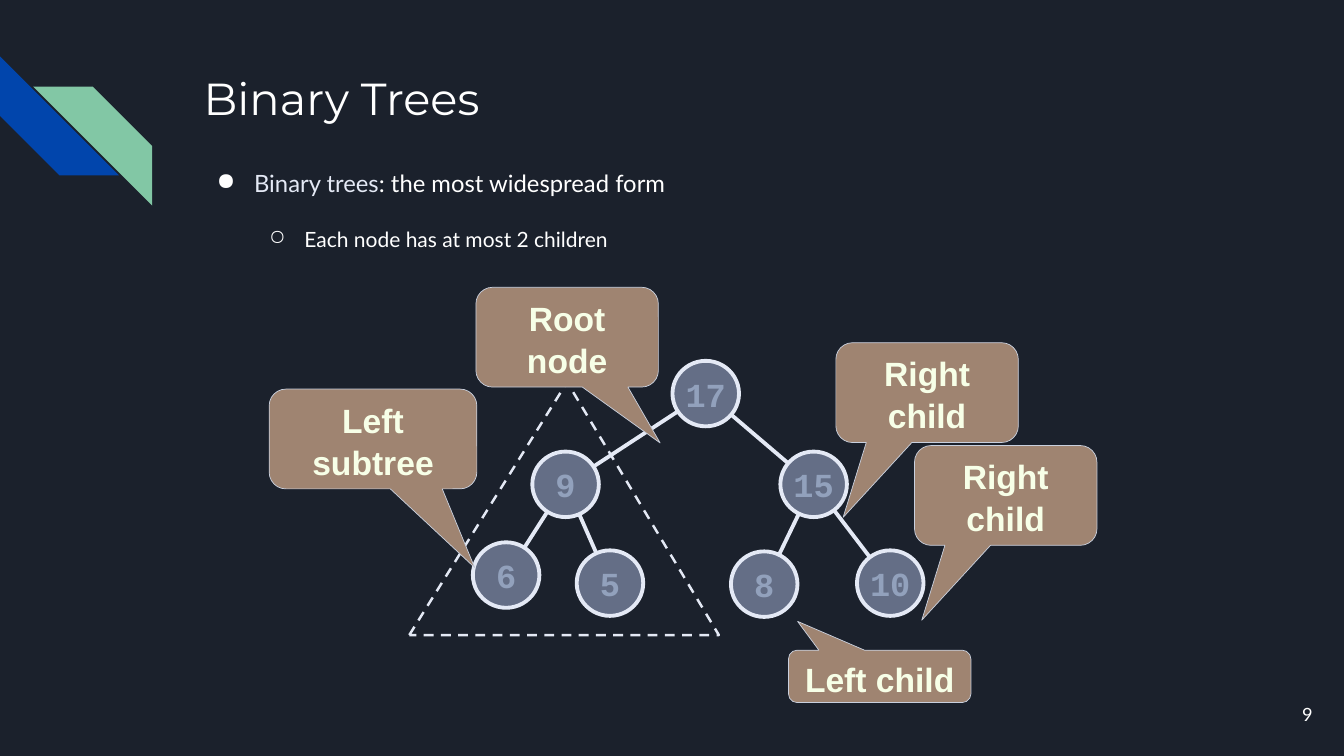
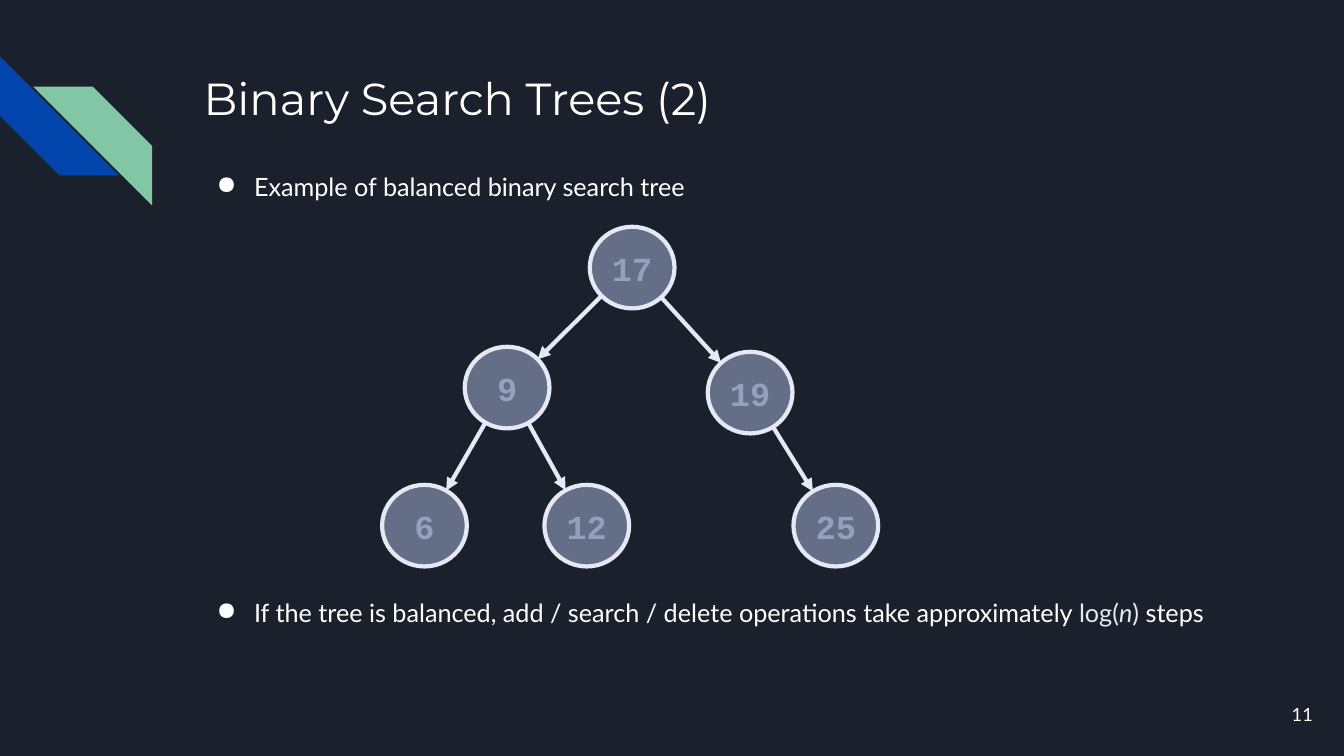
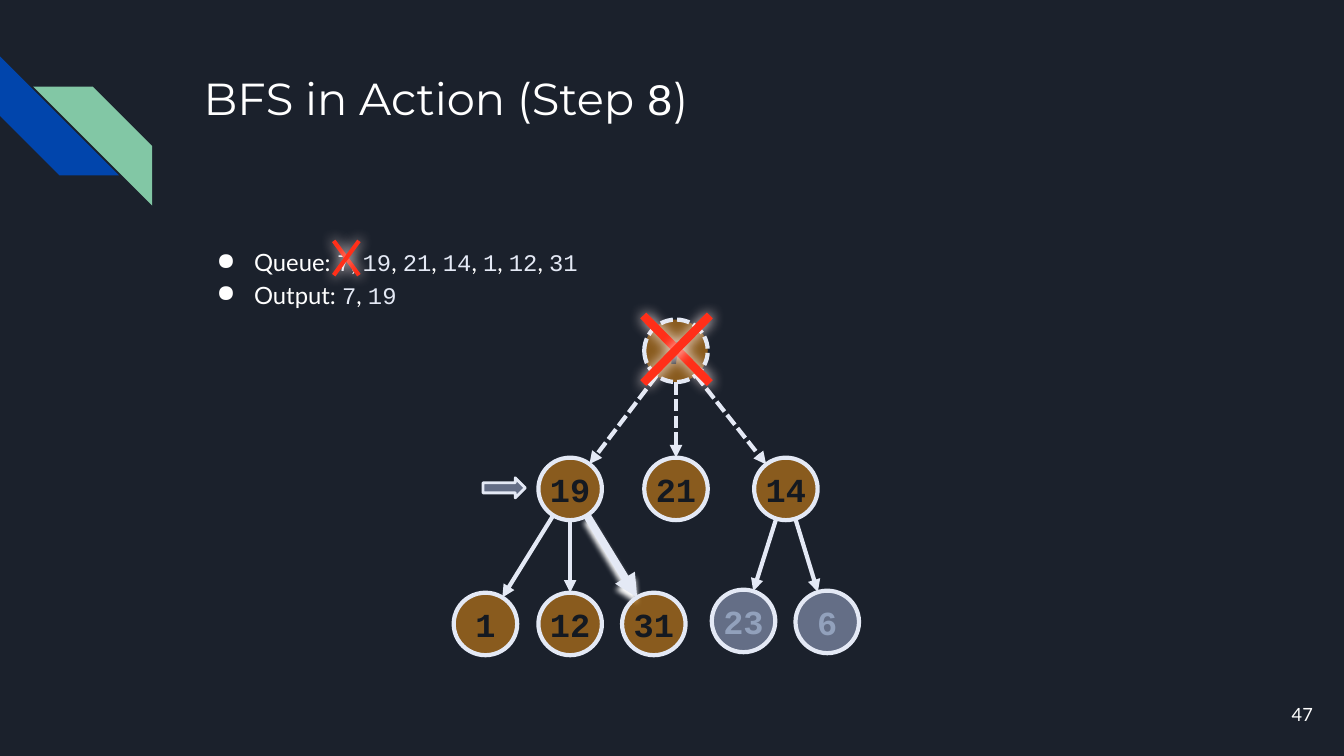
import math
import pptx
import pptx.util
import pptx.dml.color
import pptx.enum.dml
import pptx.enum.shapes
import pptx.enum.text
import pptx.oxml.ns
from lxml import etree

Inches, Pt = pptx.util.Inches, pptx.util.Pt
SHAPE = pptx.enum.shapes.MSO_SHAPE
ALIGN = pptx.enum.text.PP_ALIGN
ANCHOR = pptx.enum.text.MSO_ANCHOR
DASH = pptx.enum.dml.MSO_LINE.DASH
SHORT = pptx.enum.dml.MSO_LINE.SQUARE_DOT

# Theme
NIGHT, WHITE, PALE = "1B212C", "FFFFFF", "E4E9F5"
BLUE, GREEN, RED, GLOW = "0145AC", "82C7A5", "FF2F19", "FFEDEB"
TAN, CREAM, EDGE = "9F8471", "F7FFE7", "C9D0DE"
HEAD, BODY, MONO = "Montserrat", "Lato", "Courier New"
PLAIN = ("AEBCE1", 50, "92A1BC")      # fill, opacity, text
SEEN = ("B87519", 70, "141921")

# Runs are (text, font, colour) and, for slanted text, True
def series(label, nums):
    """Runs for a label and a comma-separated list of numbers."""
    runs = [(label, BODY, WHITE)]
    for i, num in enumerate(nums):
        if i:
            runs.append((", ", BODY, WHITE))
        runs.append((num, MONO, PALE))
    return runs


# Bullets are (level, size, space before, line spacing, runs)
PAGES = [
    {
        "number": "9",
        "title": [("Binary Trees", HEAD, WHITE)],
        "top": 1.54,
        "bullets": [
            (0, 17, 0, 1, [("Binary trees", BODY, PALE),
                           (": the most widespread form", BODY, WHITE)]),
            (1, 15, 21, 1, [("Each node has at most 2 children", BODY, WHITE)]),
        ],
        "size": (0.66, 0.65),
        "weight": 2.75,
        "arrows": False,
        "nodes": {"17": (6.67, 3.58), "9": (5.28, 4.48), "15": (7.74, 4.48),
                  "6": (4.69, 5.38), "5": (5.72, 5.46), "8": (7.25, 5.47),
                  "10": (8.5, 5.46)},
        "edges": [("17", "9"), ("17", "15"), ("9", "6"), ("9", "5"),
                  ("15", "8"), ("15", "10")],
    },
    {
        "number": "11",
        "title": [("Binary Search Trees (2)", HEAD, WHITE)],
        "top": 1.57,
        "bullets": [
            (0, 18, 0, 1, [("Example of balanced binary search tree", BODY, WHITE)]),
            (0, 18, 283, 1, [
                ("If the tree is balanced, add / search / delete operations "
                 "take approximately ", BODY, WHITE),
                ("log(", BODY, PALE), ("n", BODY, PALE, True),
                (")", BODY, PALE), (" steps", BODY, WHITE)]),
        ],
        "size": (0.84, 0.81),
        "weight": 3,
        "arrows": True,
        "nodes": {"17": (5.85, 2.25), "9": (4.61, 3.44), "19": (7.02, 3.49),
                  "6": (3.79, 4.81), "12": (5.4, 4.81), "25": (7.87, 4.81)},
        "edges": [("17", "9"), ("17", "19"), ("9", "6"), ("9", "12"),
                  ("19", "25")],
    },
    {
        "number": "47",
        "title": [("BFS in Action (Step ", HEAD, WHITE), ("8", MONO, WHITE),
                  (")", HEAD, WHITE)],
        "top": 2.29,
        "bullets": [
            (0, 17, 0, 1.15, series("Queue: ", ["7", "19", "21", "14", "1", "12", "31"])),
            (0, 17, 0, 1.15, series("Output: ", ["7", "19"])),
        ],
        "size": (0.63, 0.62),
        "weight": 3,
        "arrows": True,
        "nodes": {"7": (6.39, 3.17), "19": (5.34, 4.54), "21": (6.39, 4.54),
                  "14": (7.48, 4.54), "1": (4.5, 5.88), "12": (5.34, 5.88),
                  "31": (6.17, 5.88), "23": (7.06, 5.85), "6": (7.89, 5.86)},
        "edges": [("7", "19"), ("7", "21"), ("7", "14"), ("19", "1"),
                  ("19", "12"), ("19", "31"), ("14", "23"), ("14", "6")],
        "seen": {"7", "19", "21", "14", "1", "12", "31"},
        "done": "7",
        "active": ("19", "31"),
    },
]

# Text, box, and tip of the pointer relative to the box
CALLOUTS = [
    ("Root node", (4.72, 2.85, 1.81, 0.99), (0.51, 1.06)),
    ("Left subtree", (2.67, 3.86, 2.06, 0.99), (0.49, 1.29)),
    ("Right child", (8.29, 3.4, 1.81, 0.99), (-0.46, 1.25)),
    ("Right child", (9.07, 4.42, 1.81, 0.99), (-0.46, 1.25)),
    ("Left child", (7.82, 6.45, 1.81, 0.52), (-0.45, -1.05)),
]

# Left, top, right, bottom, line weight
CROSSES = [(3.31, 2.39, 3.56, 2.73, 3), (6.38, 3.13, 7.04, 3.8, 6)]


def rgb(code):
    return pptx.dml.color.RGBColor.from_string(code)


def child(parent, tag, **attrs):
    node = etree.SubElement(parent, pptx.oxml.ns.qn("a:" + tag))
    for key, value in attrs.items():
        node.set(key, str(value))
    return node


def stroke(line, colour, weight, dash=None):
    line.color.rgb = rgb(colour)
    line.width = Pt(weight)
    if dash:
        line.dash_style = dash


def add_runs(par, runs, size, bold=False):
    for text, face, colour, *slant in runs:
        run = par.add_run()
        run.text = text
        font = run.font
        font.name, font.size, font.bold = face, Pt(size), bold
        font.italic = bool(slant)
        font.color.rgb = rgb(colour)


def add_form(slide, kind, box, fill=None, alpha=100, line=None):
    """Preset shape; line is (colour, weight) or (colour, weight, dash)."""
    form = slide.shapes.add_shape(kind, *map(Inches, box))
    form.shadow.inherit = False
    if fill:
        form.fill.solid()
        form.fill.fore_color.rgb = rgb(fill)
        if alpha < 100:
            tint = form.fill._xPr.find(".//" + pptx.oxml.ns.qn("a:srgbClr"))
            child(tint, "alpha", val=alpha * 1000)
    else:
        form.fill.background()
    if line:
        stroke(form.line, *line)
    else:
        form.line.fill.background()
    return form


def add_line(slide, start, end, line, arrow=False, glow=None):
    """Straight line; glow is (colour, blur, distance) in points."""
    link = slide.shapes.add_connector(
        pptx.enum.shapes.MSO_CONNECTOR.STRAIGHT, *map(Inches, (*start, *end)))
    stroke(link.line, *line)
    if arrow:
        child(link.line._get_or_add_ln(), "tailEnd", type="triangle")
    effects = child(link._element.spPr, "effectLst")
    if glow:
        colour, blur, dist = glow
        shade = child(effects, "outerShdw", blurRad=Pt(blur), dist=Pt(dist),
                      dir=5400000, algn="ctr", rotWithShape=0)
        child(shade, "srgbClr", val=colour)


def add_box(slide, box):
    frame = slide.shapes.add_textbox(*map(Inches, box)).text_frame
    frame.word_wrap = True
    frame.margin_left = frame.margin_right = Inches(0.13)
    frame.margin_top = frame.margin_bottom = Inches(0.13)
    return frame


def add_list(slide, top, bullets):
    frame = add_box(slide, (1.89, top, 10.26, 6.53 - top))
    for i, (level, size, before, pitch, runs) in enumerate(bullets):
        par = frame.add_paragraph() if i else frame.paragraphs[0]
        props = par._p.get_or_add_pPr()
        props.set("marL", str(Inches(0.5 + 0.5 * level)))
        props.set("indent", str(Inches((-0.37, -0.35)[level])))
        child(child(props, "buClr"), "srgbClr", val=WHITE)
        child(props, "buChar", char="●○"[level])
        par.level = level
        par.line_spacing = float(pitch)
        if before:
            par.space_before = Pt(before)
        add_runs(par, runs, size)


def add_frame(slide, page):
    """Corner stripes, title, bullets and page number."""
    stripe = add_form(slide, SHAPE.DIAGONAL_STRIPE, (0, 0.56, 1.18, 1.18), BLUE)
    stripe.rotation = 270
    stripe = add_form(slide, SHAPE.DIAGONAL_STRIPE, (0.33, 0.86, 1.18, 1.18), GREEN)
    stripe._element.spPr.xfrm.set("flipH", "1")
    title = add_box(slide, (1.89, 0.57, 10.26, 1.33))
    add_runs(title.paragraphs[0], page["title"], 32)
    add_list(slide, page["top"], page["bullets"])
    foot = add_box(slide, (12.35, 6.8, 0.8, 0.57))
    foot.vertical_anchor = ANCHOR.MIDDLE
    foot.paragraphs[0].alignment = ALIGN.RIGHT
    add_runs(foot.paragraphs[0], [(page["number"], BODY, WHITE)], 13)


def add_tree(slide, page):
    """Edges run from rim to rim between node centres."""
    wide, high = page["size"]
    weight, nodes = page["weight"], page["nodes"]
    done = page.get("done")
    for pair in page["edges"]:
        (x1, y1), (x2, y2) = [(nodes[n][0] + wide / 2, nodes[n][1] + high / 2)
                              for n in pair]
        span = math.dist((x1, y1), (x2, y2))
        dx = (x2 - x1) / span * wide / 2
        dy = (y2 - y1) / span * high / 2
        active = pair == page.get("active")
        add_line(slide, (x1 + dx, y1 + dy), (x2 - dx, y2 - dy),
                 (PALE, 5.5 if active else weight, SHORT if pair[0] == done else None),
                 page["arrows"], (WHITE, 4, 4) if active else None)
    for name, spot in nodes.items():
        fill, alpha, ink = SEEN if name in page.get("seen", ()) else PLAIN
        node = add_form(slide, SHAPE.OVAL, (*spot, wide, high), fill, alpha,
                        (PALE, weight, SHORT if name == done else None))
        frame = node.text_frame
        frame.word_wrap = False
        frame.vertical_anchor = ANCHOR.MIDDLE
        frame.paragraphs[0].alignment = ALIGN.CENTER
        add_runs(frame.paragraphs[0], [(name, MONO, ink)], 24, True)


def add_callout(slide, text, box, tip):
    form = add_form(slide, SHAPE.ROUNDED_RECTANGULAR_CALLOUT, box, TAN,
                    line=(EDGE, 0.5))
    form.adjustments[0], form.adjustments[1] = tip
    frame = form.text_frame
    frame.word_wrap = True
    frame.auto_size = pptx.enum.text.MSO_AUTO_SIZE.SHAPE_TO_FIT_TEXT
    frame.vertical_anchor = ANCHOR.TOP
    frame.margin_left = frame.margin_right = Inches(0.08)
    frame.margin_top = frame.margin_bottom = Inches(0.04)
    par = frame.paragraphs[0]
    par.alignment = ALIGN.CENTER
    par.line_spacing = Pt(30)
    add_runs(par, [(text, "Arial", CREAM)], 24, True)


def add_cross(slide, left, top, right, bottom, weight):
    for y1, y2 in ((top, bottom), (bottom, top)):
        add_line(slide, (left, y1), (right, y2), (RED, weight), glow=(GLOW, 10, 0))


def main():
    deck = pptx.Presentation()
    deck.slide_width, deck.slide_height = Inches(13.33), Inches(7.5)
    back = deck.slide_master.background.fill
    back.solid()
    back.fore_color.rgb = rgb(NIGHT)
    slides = []
    for page in PAGES:
        slide = deck.slides.add_slide(deck.slide_layouts[6])
        add_frame(slide, page)
        add_tree(slide, page)
        slides.append(slide)
    binary, _, search = slides

    area = add_form(binary, SHAPE.ISOSCELES_TRIANGLE, (4.06, 3.79, 3.07, 2.51),
                    line=(PALE, 1.75, DASH))
    area.adjustments[0] = 0.51
    for callout in CALLOUTS:
        add_callout(binary, *callout)

    add_form(search, SHAPE.RIGHT_ARROW, (4.79, 4.74, 0.42, 0.2), *PLAIN[:2],
             line=(PALE, 2))
    for cross in CROSSES:
        add_cross(search, *cross)
    deck.save("out.pptx")


if __name__ == "__main__":
    main()
